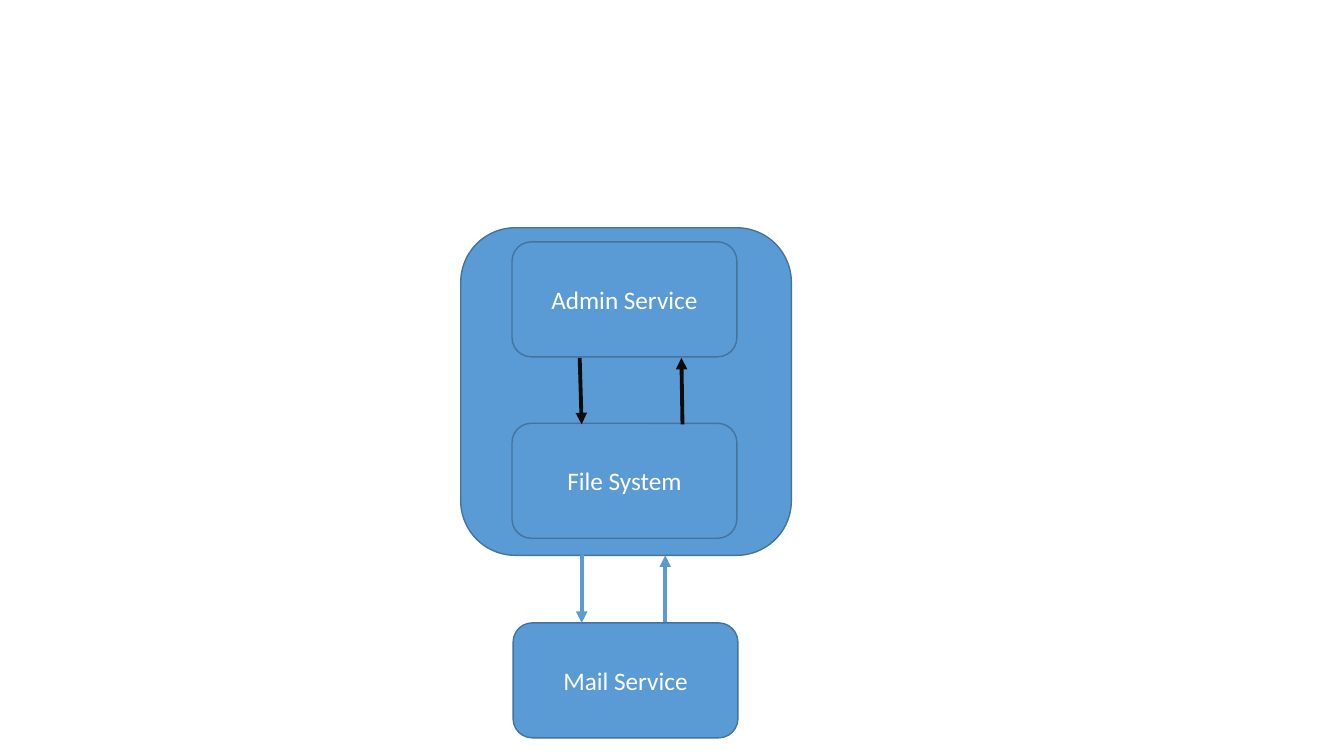
from dataclasses import dataclass

from lxml import etree
from pptx import Presentation
from pptx import util as u
from pptx.dml.color import RGBColor
from pptx.enum import shapes, text
from pptx.oxml import ns
from pptx.slide import Slide


@dataclass(frozen=True)
class Theme:
    font: str = "Calibri"
    label_size: float = 18
    outline_width: float = 1
    arrow_width: float = 2.75
    blue: RGBColor = RGBColor(0x5B, 0x9B, 0xD5)
    outline: RGBColor = RGBColor(0x43, 0x73, 0x9E)
    black: RGBColor = RGBColor(0x0D, 0x0D, 0x0D)
    white: RGBColor = RGBColor(0xFF, 0xFF, 0xFF)


@dataclass(frozen=True)
class Box:
    left: float
    top: float
    width: float
    height: float
    label: str = ""


@dataclass(frozen=True)
class Arrow:
    start: tuple[float, float]
    end: tuple[float, float]
    color: RGBColor


THEME = Theme()
SLIDE_WIDTH = u.Inches(13.33)
SLIDE_HEIGHT = u.Inches(7.5)

# Positions and sizes are percentages of the slide's width and height.
SERVICE_SIZE = (16.73, 15.2)
BOXES = [
    Box(34.28, 30.13, 24.6, 43.33),
    Box(38.1, 32, *SERVICE_SIZE, "Admin Service"),
    Box(38.18, 82.4, *SERVICE_SIZE, "Mail Service"),
    Box(38.1, 56, *SERVICE_SIZE, "File System"),
]
ARROWS = [
    Arrow((50.78, 56.13), (50.7, 47.33), THEME.black),
    Arrow((43.13, 47.33), (43.28, 56.13), THEME.black),
    Arrow((43.28, 73.47), (43.28, 82.4), THEME.blue),
    Arrow((49.5, 82.3), (49.5, 73.47), THEME.blue),
]


def across(percent: float) -> int:
    return round(SLIDE_WIDTH * percent / 100)


def down(percent: float) -> int:
    return round(SLIDE_HEIGHT * percent / 100)


def draw_box(slide: Slide, box: Box) -> None:
    shape = slide.shapes.add_shape(
        shapes.MSO_SHAPE.ROUNDED_RECTANGLE,
        across(box.left), down(box.top), across(box.width), down(box.height),
    )
    shape.shadow.inherit = False
    shape.fill.solid()
    shape.fill.fore_color.rgb = THEME.blue
    shape.line.color.rgb = THEME.outline
    shape.line.width = u.Pt(THEME.outline_width)
    if not box.label:
        return
    frame = shape.text_frame
    frame.word_wrap = True
    frame.vertical_anchor = text.MSO_ANCHOR.MIDDLE
    paragraph = frame.paragraphs[0]
    paragraph.alignment = text.PP_ALIGN.CENTER
    run = paragraph.add_run()
    run.text = box.label
    run.font.name = THEME.font
    run.font.size = u.Pt(THEME.label_size)
    run.font.color.rgb = THEME.white


def draw_arrow(slide: Slide, arrow: Arrow) -> None:
    (start_x, start_y), (end_x, end_y) = arrow.start, arrow.end
    connector = slide.shapes.add_connector(
        shapes.MSO_CONNECTOR.STRAIGHT,
        across(start_x), down(start_y), across(end_x), down(end_y),
    )
    connector.line.color.rgb = arrow.color
    connector.line.width = u.Pt(THEME.arrow_width)
    line = connector.line._get_or_add_ln()
    etree.SubElement(line, ns.qn("a:tailEnd"), type="triangle")
    etree.SubElement(connector._element.spPr, ns.qn("a:effectLst"))


def main() -> None:
    presentation = Presentation()
    presentation.slide_width = SLIDE_WIDTH
    presentation.slide_height = SLIDE_HEIGHT
    blank_layout = presentation.slide_layouts[6]
    slide = presentation.slides.add_slide(blank_layout)
    for box in BOXES:
        draw_box(slide, box)
    for arrow in ARROWS:
        draw_arrow(slide, arrow)
    presentation.save("out.pptx")


if __name__ == "__main__":
    main()
